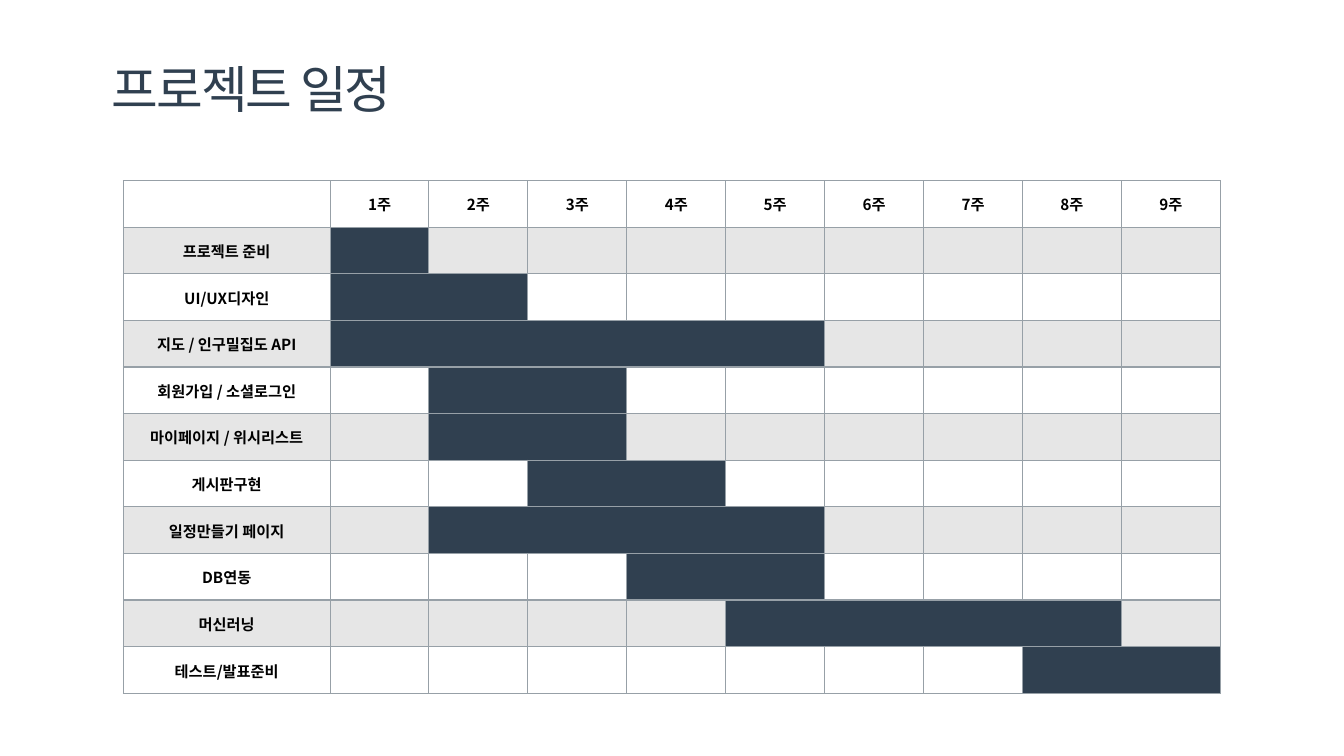
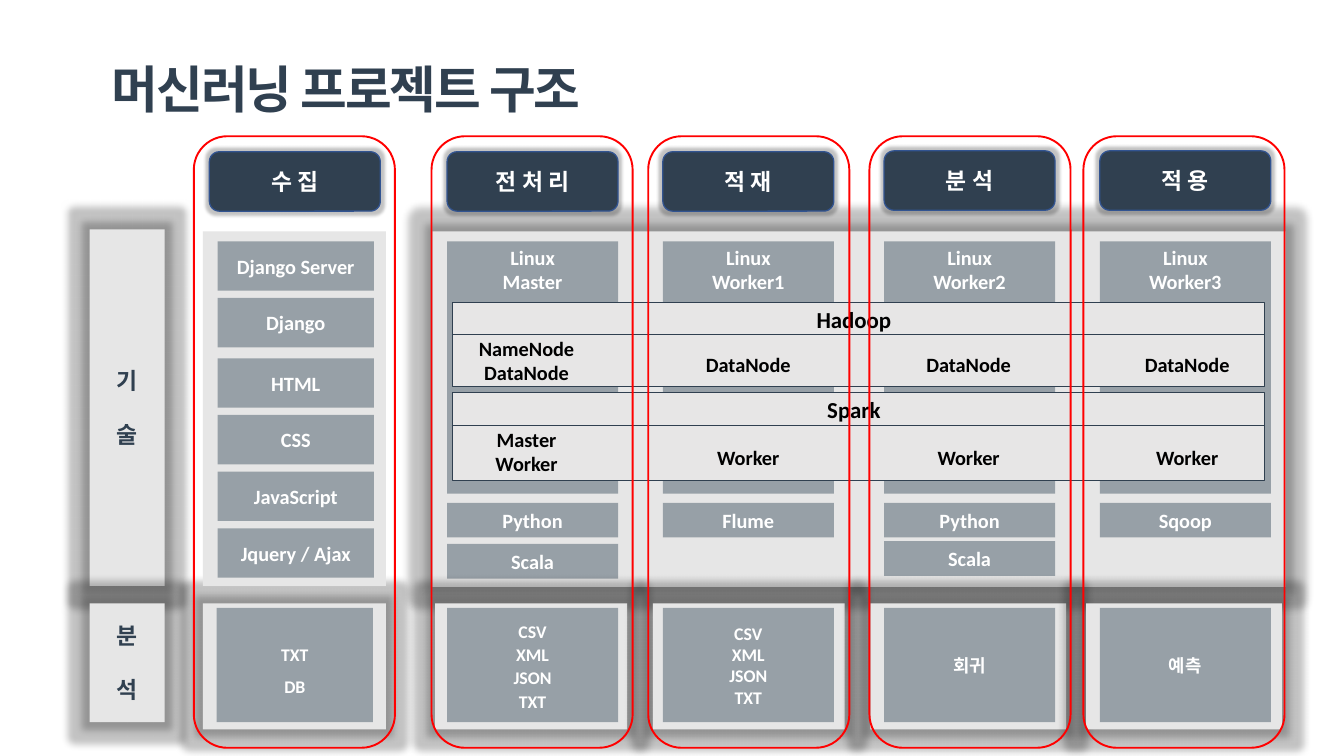
from lxml import etree
from pptx import Presentation
from pptx.dml.color import RGBColor
from pptx.enum.shapes import MSO_CONNECTOR, MSO_SHAPE
from pptx.enum.text import MSO_ANCHOR, PP_ALIGN
from pptx.oxml import parse_xml
from pptx.oxml.ns import nsdecls, qn
from pptx.util import Inches, Pt

NAVY = RGBColor(0x30, 0x40, 0x50)
SLATE = RGBColor(0x97, 0xA0, 0xA7)
PALE = RGBColor(0xE6, 0xE6, 0xE6)
BAND = RGBColor(0xE7, 0xE6, 0xE6)
BLUE = RGBColor(0x32, 0x54, 0x91)
RED = RGBColor(0xFF, 0, 0)
WHITE = RGBColor(0xFF, 0xFF, 0xFF)
BLACK = RGBColor(0, 0, 0)
RECT, ROUND = MSO_SHAPE.RECTANGLE, MSO_SHAPE.ROUNDED_RECTANGLE
LEFT, MID = PP_ALIGN.LEFT, PP_ALIGN.CENTER
TOP, CENTER = MSO_ANCHOR.TOP, MSO_ANCHOR.MIDDLE
LATIN, HANGUL = "Calibri", "Noto Sans CJK KR"

deck = Presentation()
deck.slide_width, deck.slide_height = Inches(14.7), Inches(8.27)
COL = deck.slide_width / 147
ROW = deck.slide_height / 82.7


def box(page, kind, x, y, w, h, fill=None, edge=None, width=1, glow=0):
    at = int(x * COL), int(y * ROW), int(w * COL), int(h * ROW)
    if kind is None:
        return page.shapes.add_textbox(*at)
    shape = page.shapes.add_shape(kind, *at)
    shape.shadow.inherit = False
    if fill is None:
        shape.fill.background()
    else:
        shape.fill.solid()
        shape.fill.fore_color.rgb = fill
    if edge is None:
        shape.line.fill.background()
    else:
        shape.line.color.rgb = edge
        shape.line.width = Pt(width)
    if glow:
        effect = shape._element.spPr.find(qn("a:effectLst"))
        effect.append(parse_xml(
            f'<a:glow {nsdecls("a")} rad="{Pt(glow)}">'
            '<a:srgbClr val="000000"><a:alpha val="24000"/></a:srgbClr></a:glow>'))
    return shape


def write(frame, lines, size, color, bold=True, face=LATIN, align=MID, space=None, gap=0):
    frame.word_wrap = True
    frame.text = "\n".join(lines)
    for i, para in enumerate(frame.paragraphs):
        para.alignment = align
        if space:
            para.line_spacing = space
        if i and gap:
            para.space_before = Pt(gap)
        for run in para.runs:
            font = run.font
            font.name, font.size, font.bold = face, Pt(size), bold
            font.color.rgb = color
            etree.SubElement(run._r.rPr, qn("a:ea"), typeface=HANGUL)


pages = []
for title, wide, bold in [("프로젝트 일정", 34.2, False), ("머신러닝 프로젝트 구조", 57.5, True)]:
    page = deck.slides.add_slide(deck.slide_layouts[6])
    pages.append(page)
    box(page, RECT, 0, 16.3, 147, 58.1, WHITE)
    box(page, RECT, 0, 72.8, 147, 9, WHITE, WHITE)
    frame = box(page, None, 12.2, 7, wide, 6.1).text_frame
    frame.margin_left = frame.margin_right = frame.margin_top = frame.margin_bottom = 0
    write(frame, [title], 40, NAVY, bold, HANGUL, LEFT, 0.9)
    frame.word_wrap = False
    frame.vertical_anchor = CENTER
    frame.paragraphs[0].runs[0]._r.rPr.set("spc", "-150")
plan, build = pages

TASKS = [
    ("프로젝트 준비", 1, 1), ("UI/UX디자인", 1, 2), ("지도 / 인구밀집도 API", 1, 5),
    ("회원가입 / 소셜로그인", 2, 3), ("마이페이지 / 위시리스트", 2, 3),
    ("게시판구현", 3, 4), ("일정만들기 페이지", 2, 5), ("DB연동", 4, 5),
    ("머신러닝", 5, 8), ("테스트/발표준비", 8, 9),
]
WEEKS = 9
SIZE = len(TASKS) + 1
holder = plan.shapes.add_table(SIZE, WEEKS + 1, int(13.5 * COL), int(19.75 * ROW),
                               int(120 * COL), int(SIZE * 5.1 * ROW))
table = holder.table
table.first_row = table.horz_banding = False
for i, col in enumerate(table.columns):
    col.width = int((97.4 / WEEKS if i else 22.6) * COL)
for r, row in enumerate(table.rows):
    name, first, last = TASKS[r - 1] if r else ("", 0, 0)
    for c, cell in enumerate(row.cells):
        props = cell._tc.get_or_add_tcPr()
        for side in "LRTB":
            props.append(parse_xml(
                f'<a:ln{side} {nsdecls("a")} w="12700"><a:solidFill>'
                f'<a:srgbClr val="{SLATE}"/></a:solidFill></a:ln{side}>'))
        if r:
            cell.fill.solid()
            busy = first <= c <= last
            cell.fill.fore_color.rgb = NAVY if busy else PALE if r % 2 else WHITE
        else:
            cell.fill.background()
        label = name if c == 0 else f"{c}주" if r == 0 else ""
        cell.vertical_anchor = CENTER
        if label:
            cell.margin_left = cell.margin_right = cell.margin_top = Inches(0.01)
            cell.margin_bottom = 0
            write(cell.text_frame, [label], 12, BLACK, face=HANGUL)
    if last > first:
        table.cell(r, first).merge(table.cell(r, last))

LANES = [48.9, 72.5, 96.7, 120.3]
WIDE = 18.7
box(build, RECT, 47.3, 25.3, 93.3, 38.9, PALE, glow=12)
heads = ["수 집", "전 처 리", "적 재", "분 석", "적 용"]
for x, head in zip([22.9] + LANES, heads):
    shape = box(build, ROUND, x, 16.5 if x > 96 else 16.6, WIDE, 6.5, NAVY, BLUE, glow=5)
    write(shape.text_frame, [head], 18, WHITE)

for y, tall, label in [(25.1, 39, "기술"), (66, 13, "분석")]:
    shape = box(build, RECT, 9.8, y, 8.2, tall, PALE, glow=12)
    write(shape.text_frame, label, 18, NAVY, gap=21)

box(build, RECT, 22.2, 66, 20, 13.8, PALE, glow=12)
box(build, RECT, 22.2, 25.3, 20, 38.8, PALE)
tools = ["Django Server", "Django", "HTML", "CSS", "JavaScript", "Jquery / Ajax"]
for i, tool in enumerate(tools):
    shape = box(build, RECT, 23.8, 26.4 + 6.2 * i + (0.4 if i > 1 else 0), 17.1, 5.4, SLATE)
    write(shape.text_frame, [tool], 16, WHITE)

for x, role in zip(LANES, ["Master", "Worker1", "Worker2", "Worker3"]):
    frame = box(build, RECT, x, 26.4, WIDE, 27.6, SLATE).text_frame
    write(frame, ["Linux", role], 16, WHITE)
    frame.vertical_anchor = TOP
    frame.margin_top = Inches(0.04)

STACKS = [
    ("Hadoop", 33.05, 9.2, 36.55, 38.05, ["NameNode", "DataNode"], "DataNode"),
    ("Spark", 42.9, 9.65, 46.5, 48.2, ["Master", "Worker"], "Worker"),
]
for name, y, tall, rule, low, main, node in STACKS:
    box(build, RECT, 49.5, y, 88.8, tall, BAND, NAVY, 0.75)
    parts = [(49.95, rule - 0.25, main)] + [(x, low, [node]) for x in (74.2, 98.3, 122.2)]
    for x, top, lines in parts:
        write(box(build, None, x, top, 15.3, 3 * len(lines)).text_frame, lines, 16, BLACK)
    line = build.shapes.add_connector(MSO_CONNECTOR.STRAIGHT, int(49.4 * COL), int(rule * ROW),
                                      int(138.3 * COL), int(rule * ROW))
    line.line.color.rgb = NAVY
    line.line.width = Pt(0.75)
    etree.SubElement(line._element.spPr, qn("a:effectLst"))
    write(box(build, None, 85.75, y - 0.15, 15.3, 3.7).text_frame, [name], 18, BLACK)

for x, y, lib in [(LANES[0], 55, "Python"), (LANES[0], 59.5, "Scala"), (LANES[1], 55, "Flume"),
                  (LANES[2], 55, "Python"), (LANES[2], 59.2, "Scala"), (LANES[3], 55, "Sqoop")]:
    shape = box(build, RECT, x, y, WIDE, 3.8, SLATE)
    write(shape.text_frame, [lib], 16, WHITE)

for x, wide in [(47.6, 21), (71.4, 21), (95.2, 21.4), (118.8, 21.4)]:
    box(build, RECT, x, 66, wide, 13.8, PALE, glow=12)
DATA = [
    (23.7, 17.1, ["TXT", "DB"], 1.5),
    (LANES[0], WIDE, ["CSV", "XML", "JSON", "TXT"], 1.1),
    (LANES[1], WIDE, ["CSV", "XML", "JSON", "TXT"], None),
    (LANES[2], WIDE, ["회귀"], None),
    (LANES[3], WIDE, ["예측"], None),
]
for x, wide, lines, space in DATA:
    shape = box(build, RECT, x, 66.5, wide, 12.5, SLATE)
    write(shape.text_frame, lines, 14, WHITE, space=space)

for x in (21.2, 47.2, 70.9, 95.1, 118.5):
    box(build, ROUND, x, 14.9, 22, 66.9, edge=RED, width=1.5)

deck.save("out.pptx")
